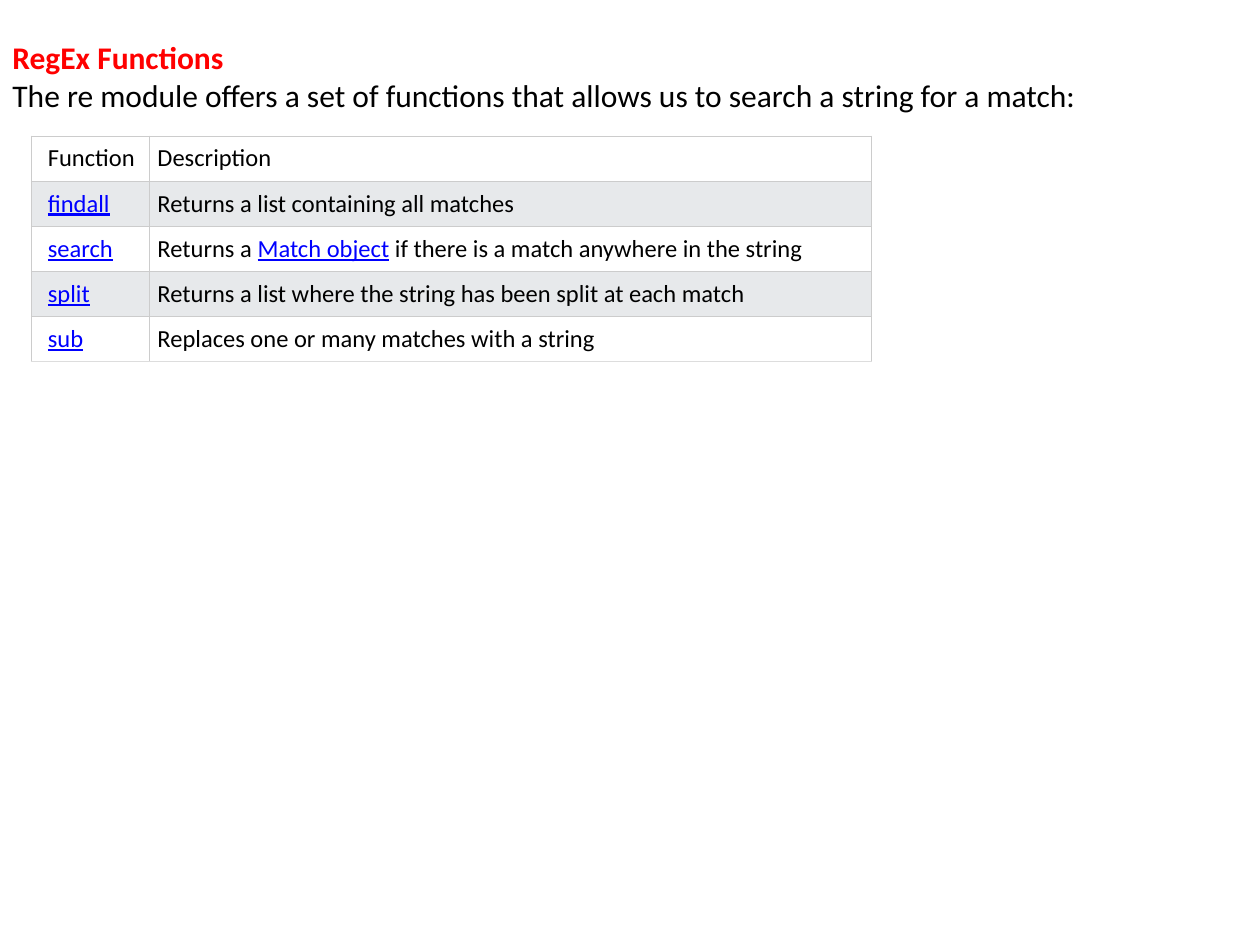
import pptx
import pptx.dml.color
import pptx.enum.text
import pptx.oxml
import pptx.oxml.ns
import pptx.util

Inches = pptx.util.Inches
RGBColor = pptx.dml.color.RGBColor

FONT = "Calibri"
RED = RGBColor(0xFF, 0x00, 0x00)
BLACK = RGBColor(0x00, 0x00, 0x00)
BLUE = RGBColor(0x00, 0x00, 0xFF)
WHITE = RGBColor(0xFF, 0xFF, 0xFF)
STRIPE = RGBColor(0xE7, 0xE9, 0xEB)
BORDER = RGBColor(0xCC, 0xCC, 0xCC)
BOTTOM_BORDER = RGBColor(0xDD, 0xDD, 0xDD)

# Each cell is a list of (text, is_link) runs
ROWS = [
    ([("Function", False)], [("Description", False)]),
    ([("findall", True)], [("Returns a list containing all matches", False)]),
    ([("search", True)],
     [("Returns a ", False), ("Match object", True),
      (" if there is a match anywhere in the string", False)]),
    ([("split", True)],
     [("Returns a list where the string has been split at each match", False)]),
    ([("sub", True)], [("Replaces one or many matches with a string", False)]),
]


def add_run(p, text, size, color, bold=False, underline=False):
    r = p.add_run()
    r.text = text
    r.font.name = FONT
    r.font.size = pptx.util.Pt(size)
    r.font.color.rgb = color
    r.font.bold = bold
    r.font.underline = underline


def set_borders(cell, bottom):
    tcPr = cell._tc.get_or_add_tcPr()
    sides = [("L", BORDER), ("R", BORDER), ("T", BORDER), ("B", bottom)]
    for i, (side, color) in enumerate(sides):
        # Borders must come before the cell fill
        tcPr.insert(i, pptx.oxml.parse_xml(
            f'<a:ln{side} {pptx.oxml.ns.nsdecls("a")} w="9525">'
            f'<a:solidFill><a:srgbClr val="{color}"/></a:solidFill>'
            f'</a:ln{side}>'))


def add_heading(slide, left, top, width, height):
    tf = slide.shapes.add_textbox(left, top, width, height).text_frame
    tf.word_wrap = False
    tf.auto_size = pptx.enum.text.MSO_AUTO_SIZE.SHAPE_TO_FIT_TEXT
    add_run(tf.paragraphs[0], "RegEx Functions", 18, RED, bold=True)
    add_run(tf.add_paragraph(),
            "The re module offers a set of functions that allows us "
            "to search a string for a match:", 18, BLACK)


def add_function_table(slide, left, top, width, height):
    table = slide.shapes.add_table(len(ROWS), 2, left, top, width, height).table
    table.columns[0].width = Inches(0.94)
    table.columns[1].width = width - Inches(0.94)
    for i, row in enumerate(ROWS):
        for j, runs in enumerate(row):
            cell = table.cell(i, j)
            cell.margin_left = Inches(0.06 if j else 0.13)
            cell.margin_right = cell.margin_top = cell.margin_bottom = Inches(0.06)
            cell.fill.solid()
            cell.fill.fore_color.rgb = STRIPE if i % 2 else WHITE
            set_borders(cell, BOTTOM_BORDER if i == len(ROWS) - 1 else BORDER)
            for text, is_link in runs:
                add_run(cell.text_frame.paragraphs[0], text, 14,
                        BLUE if is_link else BLACK, underline=is_link)


def main():
    prs = pptx.Presentation()
    prs.slide_width, prs.slide_height = Inches(10), Inches(7.5)
    slide = prs.slides.add_slide(prs.slide_layouts[6])
    add_heading(slide, Inches(0), Inches(0.25), Inches(8.75), Inches(0.71))
    add_function_table(slide, Inches(0.25), Inches(1.08), Inches(6.67), Inches(1.79))
    prs.save("out.pptx")


if __name__ == "__main__":
    main()
